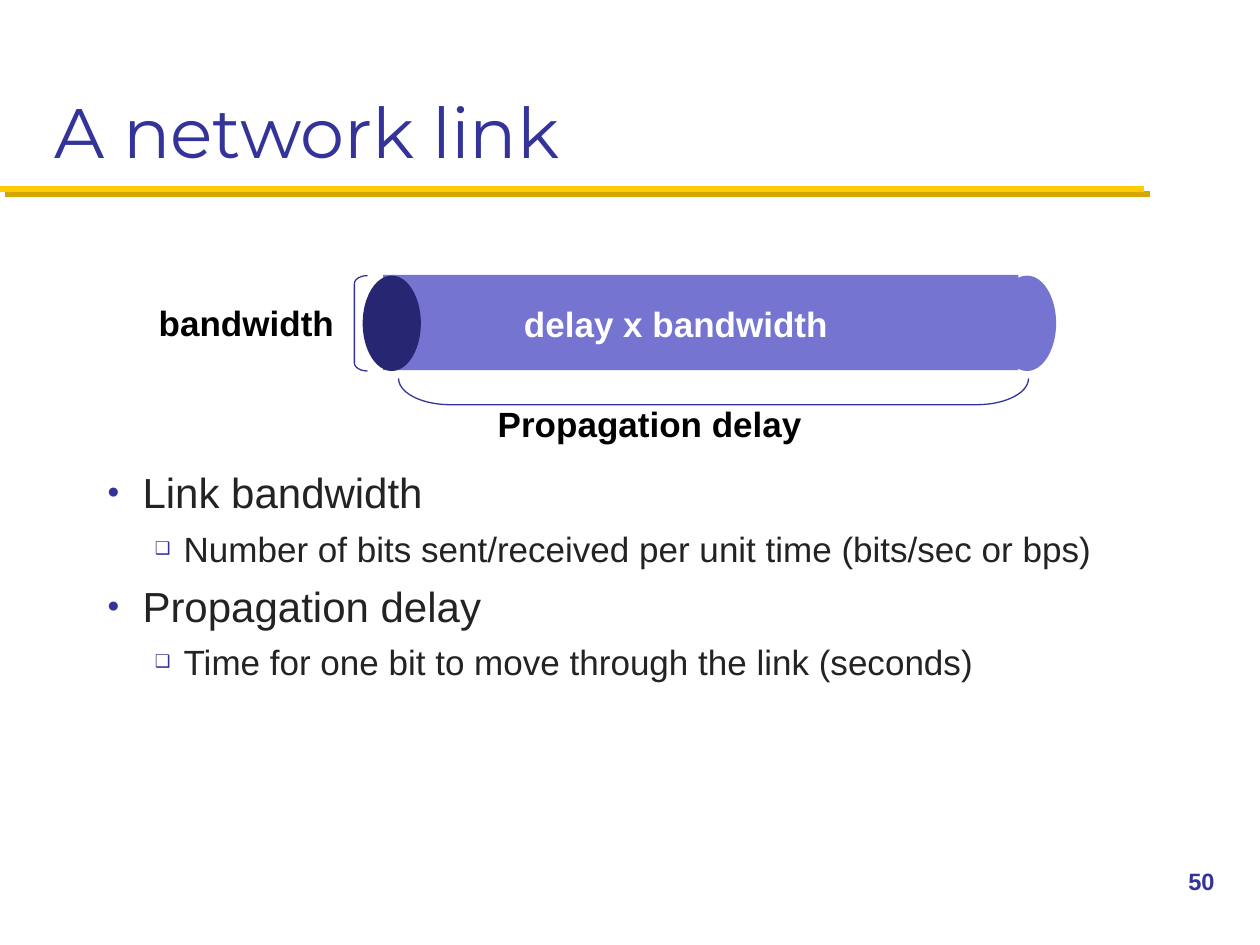
from lxml.etree import SubElement
from pptx import Presentation
from pptx.dml.color import RGBColor
from pptx.enum.shapes import MSO_CONNECTOR as Connector, MSO_SHAPE as Shape
from pptx.enum.text import MSO_ANCHOR as Anchor, MSO_AUTO_SIZE as AutoSize, PP_ALIGN as Align
from pptx.oxml.ns import qn
from pptx.util import Pt

NAVY, DARK, PIPE = "333399", "262673", "7575D1"
GOLD, SHADE, INK = "FFCB05", "D3A600", "232323"


def color(value):
    return RGBColor.from_string(value)


def assign(target, values):
    for name, value in values.items():
        setattr(target, name, value)


def add_xml(parent, tag, **values):
    return SubElement(parent, qn(tag), values)


class SlideBuilder:
    font = "Arial"
    title_font = "Montserrat"
    levels = (
        {"size": 24, "margin": 20.25, "hanging": 20.25, "mark": "●"},
        {"size": 20, "margin": 43.75, "hanging": 16.5, "mark": "❑"},
    )

    def __init__(self, deck):
        self.page = deck.slides.add_slide(deck.slide_layouts[1])

    def add_words(self, para, words, size, tint, bold=False, font=None):
        span = para.add_run()
        span.text = words
        assign(span.font, {"name": font or self.font, "size": Pt(size), "bold": bold})
        span.font.color.rgb = color(tint)

    def place(self, box, left, top, width, height):
        assign(box, {"left": Pt(left), "top": Pt(top),
                     "width": Pt(width), "height": Pt(height)})

    def title(self, words, *area):
        box = self.page.shapes.title
        self.place(box, *area)
        assign(box.text_frame, {"vertical_anchor": Anchor.BOTTOM,
                                "auto_size": AutoSize.NONE, "word_wrap": True})
        para = box.text_frame.paragraphs[0]
        para.alignment = Align.LEFT
        self.add_words(para, words, 40, NAVY, font=self.title_font)

    def bullets(self, items, *area):
        box = self.page.placeholders[1]
        self.place(box, *area)
        frame = box.text_frame
        assign(frame, {"vertical_anchor": Anchor.TOP,
                       "auto_size": AutoSize.NONE, "word_wrap": True})
        for index, (level, words) in enumerate(items):
            para = frame.add_paragraph() if index else frame.paragraphs[0]
            style = self.levels[level]
            properties = para._p.get_or_add_pPr()
            properties.set("marL", str(Pt(style["margin"])))
            properties.set("indent", str(-Pt(style["hanging"])))
            tint = add_xml(properties, "a:buClr")
            add_xml(tint, "a:srgbClr", val=NAVY)
            add_xml(properties, "a:buSzPct", val="50000")
            add_xml(properties, "a:buFont", typeface=self.font)
            add_xml(properties, "a:buChar", char=style["mark"])
            assign(para, {"level": level, "alignment": Align.LEFT,
                          "space_before": Pt(6 if index else 0)})
            self.add_words(para, words, style["size"], INK)

    def rule(self, left, right, top):
        line = self.page.shapes.add_connector(
            Connector.STRAIGHT, Pt(left), Pt(top), Pt(right), Pt(top))
        line.line.width = Pt(3.5)
        line.line.color.rgb = color(GOLD)
        effects = add_xml(line._element.spPr, "a:effectLst")
        shadow = add_xml(effects, "a:outerShdw", blurRad="0", dist=str(Pt(4.2)),
                         dir="2700000", algn="ctr", rotWithShape="0")
        add_xml(shadow, "a:srgbClr", val=SHADE)

    def solid(self, kind, fill, *area):
        shape = self.page.shapes.add_shape(kind, *map(Pt, area))
        shape.shadow.inherit = False
        shape.fill.solid()
        shape.fill.fore_color.rgb = color(fill)
        shape.line.fill.background()

    def bracket(self, curve, rotation, *area):
        shape = self.page.shapes.add_shape(Shape.LEFT_BRACKET, *map(Pt, area))
        shape.shadow.inherit = False
        shape.fill.background()
        shape.line.width = Pt(0.75)
        shape.line.color.rgb = color(NAVY)
        shape.adjustments[0] = curve
        shape.rotation = rotation

    def label(self, words, *area, size=20, tint="000000", align=Align.RIGHT):
        box = self.page.shapes.add_textbox(*map(Pt, area))
        assign(box.text_frame, {"word_wrap": False,
                                "auto_size": AutoSize.SHAPE_TO_FIT_TEXT})
        para = box.text_frame.paragraphs[0]
        para.alignment = align
        self.add_words(para, words, size, tint, bold=True)

    def page_number(self, words, *area):
        self.label(words, *area, size=13.5, tint=NAVY, align=Align.LEFT)


def main():
    deck = Presentation()
    assign(deck, {"slide_width": Pt(720), "slide_height": Pt(540)})
    slide = SlideBuilder(deck)

    slide.rule(0, 654, 108)
    slide.title("A network link", 24, 12, 672, 90)
    slide.bullets([
        (0, "Link bandwidth"),
        (1, "Number of bits sent/received per unit time (bits/sec or bps)"),
        (0, "Propagation delay"),
        (1, "Time for one bit to move through the link (seconds)"),
    ], 54, 263, 624, 211)

    pipe_top, pipe_height, cap_width = 157.5, 54.5, 33.25
    slide.solid(Shape.OVAL, PIPE, 570.25, pipe_top, cap_width, pipe_height)
    slide.solid(Shape.RECTANGLE, PIPE, 219, 157, 363, pipe_height)
    slide.solid(Shape.OVAL, DARK, 207.25, pipe_top, cap_width, pipe_height)
    slide.bracket(0.61, 0, 202.5, pipe_top, 7.5, pipe_height)
    slide.bracket(1.98, 270, 400.25, 43.75, 15, 360)

    slide.label("bandwidth", 82.75, 168.5, 115.25, 31.5)
    slide.label("Propagation delay", 276, 226.5, 189.25, 31.5)
    slide.label("delay x bandwidth", 291, 169.25, 189.25, 31.5, tint="FFFFFF")
    slide.page_number("50", 672, 492, 30, 24)
    deck.save("out.pptx")


if __name__ == "__main__":
    main()
